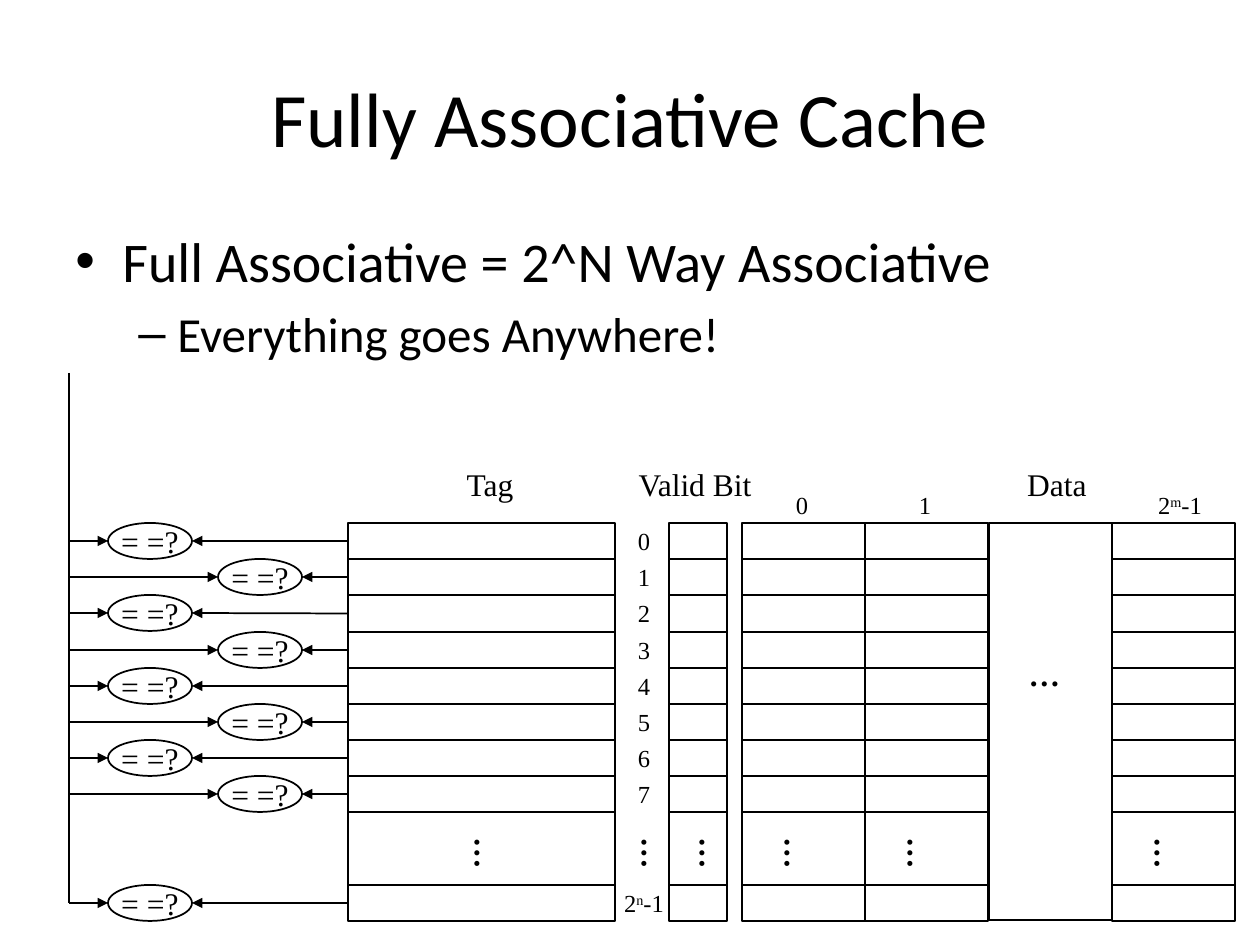
from dataclasses import dataclass

from lxml.etree import SubElement
from pptx import Presentation
from pptx.dml.color import RGBColor
from pptx.enum.shapes import MSO_CONNECTOR, MSO_SHAPE
from pptx.enum.text import MSO_ANCHOR, MSO_AUTO_SIZE, PP_ALIGN
from pptx.oxml.ns import qn
from pptx.util import Emu, Pt

PX_PER_INCH = 126
COLORS = {"ink": "000000", "paper": "FFFFFF"}
SERIF, SANS = "Times New Roman", "Calibri"

FORMATS = {
    "title": {"name": SANS, "size": Pt(44)},
    "bullet": {"name": SANS, "size": Pt(32)},
    "sub-bullet": {"name": SANS, "size": Pt(28)},
    "heading": {"name": SERIF, "size": Pt(18)},
    "index": {"name": SERIF, "size": Pt(14)},
    "dots": {"name": SERIF, "size": Pt(18), "bold": True},
}

# Row grid: eight single rows, one double row for the dots, one last row
GRID_TOP, GRID_HEIGHT, GRID_UNITS = 523, 398, 11
ROW_UNITS = [(unit, 1) for unit in range(8)] + [(8, 2), (10, 1)]
DOTS_ROW = 8
DOTS_TOP = 828
BUS_X, STUB_X = 69, 81


@dataclass(frozen=True)
class Column:
    left: int
    width: int
    dots_left: int


@dataclass(frozen=True)
class Label:
    text: str
    left: int
    top: int
    width: int
    height: int
    format: str
    superscript: str = ""
    ending: str = ""
    rotation: int = 0


@dataclass(frozen=True)
class Bullet:
    text: str
    format: str
    character: str
    margin: int
    hanging: int
    level: int


TAG = Column(348, 267, 459)
COLUMNS = [
    Column(669, 58, 684),
    Column(742, 123, 769),
    Column(865, 123, 892),
    Column(1112, 123, 1139),
]
LABELS = [
    Label("Valid Bit", 622, 459, 146, 50, "heading"),
    Label("Tag", 450, 459, 80, 50, "heading"),
    Label("Data", 1011, 459, 92, 50, "heading"),
    Label("…", 1016, 649, 57, 50, "dots"),
    Label("0", 783, 484, 38, 42, "index"),
    Label("1", 906, 484, 38, 42, "index"),
    Label("2", 1143, 484, 74, 42, "index", "m", "-1"),
    Label("2", 609, 882, 70, 42, "index", "n", "-1"),
]
BULLETS = [
    Bullet("Full Associative = 2^N Way Associative", "bullet", "•", 47, 47, 0),
    Bullet("Everything goes Anywhere!", "sub-bullet", "–", 102, 39, 1),
]


def px(length: int) -> Emu:
    return Emu(round(length * 914400 / PX_PER_INCH))


def row_edge(unit: int) -> int:
    return GRID_TOP + round(GRID_HEIGHT * unit / GRID_UNITS)


def add_run(paragraph, text: str, format_name: str):
    run = paragraph.add_run()
    run.text = text
    for name, value in FORMATS[format_name].items():
        setattr(run.font, name, value)
    run.font.color.rgb = RGBColor.from_string(COLORS["ink"])
    return run


def add_outline(slide, kind, left: int, top: int, width: int, height: int):
    shape = slide.shapes.add_shape(kind, px(left), px(top), px(width), px(height))
    shape.shadow.inherit = False
    shape.fill.solid()
    shape.fill.fore_color.rgb = RGBColor.from_string(COLORS["paper"])
    shape.line.color.rgb = RGBColor.from_string(COLORS["ink"])
    shape.line.width = Pt(1)
    return shape


def add_label(slide, label: Label) -> None:
    box = slide.shapes.add_textbox(
        px(label.left), px(label.top), px(label.width), px(label.height))
    box.rotation = label.rotation
    box.text_frame.word_wrap = False
    box.text_frame.auto_size = MSO_AUTO_SIZE.SHAPE_TO_FIT_TEXT
    paragraph = box.text_frame.paragraphs[0]
    paragraph.alignment = PP_ALIGN.CENTER
    add_run(paragraph, label.text, label.format)
    if label.superscript:
        run = add_run(paragraph, label.superscript, label.format)
        run._r.get_or_add_rPr().set("baseline", "30000")
        add_run(paragraph, label.ending, label.format)


def add_column(slide, column: Column) -> list:
    cells = []
    for unit, span in ROW_UNITS:
        top = row_edge(unit)
        cells.append(add_outline(slide, MSO_SHAPE.RECTANGLE, column.left, top,
                                 column.width, row_edge(unit + span) - top))
    add_label(slide, Label("…", column.dots_left, DOTS_TOP, 57, 50, "dots", rotation=90))
    return cells


def add_line(slide, start: tuple[int, int], end: tuple[int, int], arrow: str = ""):
    line = slide.shapes.add_connector(
        MSO_CONNECTOR.STRAIGHT, *(px(value) for value in start + end))
    line.line.color.rgb = RGBColor.from_string(COLORS["ink"])
    line.line.width = Pt(1)
    if arrow:
        SubElement(line.line._get_or_add_ln(), qn(f"a:{arrow}"), type="triangle")
    SubElement(line._element.spPr, qn("a:effectLst"))
    return line


def add_comparator(slide, left: int, top: int, tag_cell) -> None:
    width, height = 84, 36
    middle = top + height // 2
    ellipse = add_outline(slide, MSO_SHAPE.OVAL, left, top, width, height)
    frame = ellipse.text_frame
    frame.word_wrap = False
    frame.vertical_anchor = MSO_ANCHOR.MIDDLE
    frame.paragraphs[0].alignment = PP_ALIGN.CENTER
    add_run(frame.paragraphs[0], "= =?", "heading")
    add_line(slide, (BUS_X, middle), (STUB_X, middle))
    add_line(slide, (STUB_X, middle), (left, middle), "tailEnd")
    tag_line = add_line(slide, (left + width, middle), (TAG.left, middle), "headEnd")
    tag_line.end_connect(tag_cell, 1)


def add_title(slide, text: str) -> None:
    box = slide.shapes.add_textbox(px(63), px(38), px(1134), px(157))
    box.text_frame.word_wrap = True
    box.text_frame.vertical_anchor = MSO_ANCHOR.MIDDLE
    paragraph = box.text_frame.paragraphs[0]
    paragraph.alignment = PP_ALIGN.CENTER
    add_run(paragraph, text, "title")


def add_bullets(slide, bullets: list[Bullet]) -> None:
    box = slide.shapes.add_textbox(px(63), px(220), px(1134), px(173))
    frame = box.text_frame
    frame.word_wrap = True
    for number, bullet in enumerate(bullets):
        paragraph = frame.add_paragraph() if number else frame.paragraphs[0]
        paragraph.level = bullet.level
        paragraph.space_before = Pt(FORMATS[bullet.format]["size"].pt * 0.2)
        properties = paragraph._p.get_or_add_pPr()
        properties.set("marL", str(px(bullet.margin)))
        properties.set("indent", str(-px(bullet.hanging)))
        SubElement(properties, qn("a:buFont"), typeface="Arial")
        SubElement(properties, qn("a:buChar"), char=bullet.character)
        add_run(paragraph, bullet.text, bullet.format)


def main() -> None:
    presentation = Presentation()
    presentation.slide_width, presentation.slide_height = px(1260), px(945)
    slide = presentation.slides.add_slide(presentation.slide_layouts[6])

    # Title and bullets
    add_title(slide, "Fully Associative Cache")
    add_bullets(slide, BULLETS)

    # Cache columns and the gap in the data blocks
    tag_cells = add_column(slide, TAG)
    for column in COLUMNS:
        add_column(slide, column)
    add_outline(slide, MSO_SHAPE.RECTANGLE, 989, GRID_TOP, 123, GRID_HEIGHT - 1)

    # Row numbers and headings
    for row in range(DOTS_ROW):
        add_label(slide, Label(str(row), 625, row_edge(row) - 3, 38, 42, "index"))
    add_label(slide, Label("…", 626, DOTS_TOP, 57, 50, "dots", rotation=90))
    for label in LABELS:
        add_label(slide, label)

    # Address line with one comparator for each row
    add_line(slide, (BUS_X, 373), (BUS_X, 903))
    for row, (unit, _) in enumerate(ROW_UNITS):
        if row != DOTS_ROW:
            add_comparator(slide, 218 if unit % 2 else 108, row_edge(unit), tag_cells[row])

    presentation.save("out.pptx")


if __name__ == "__main__":
    main()
